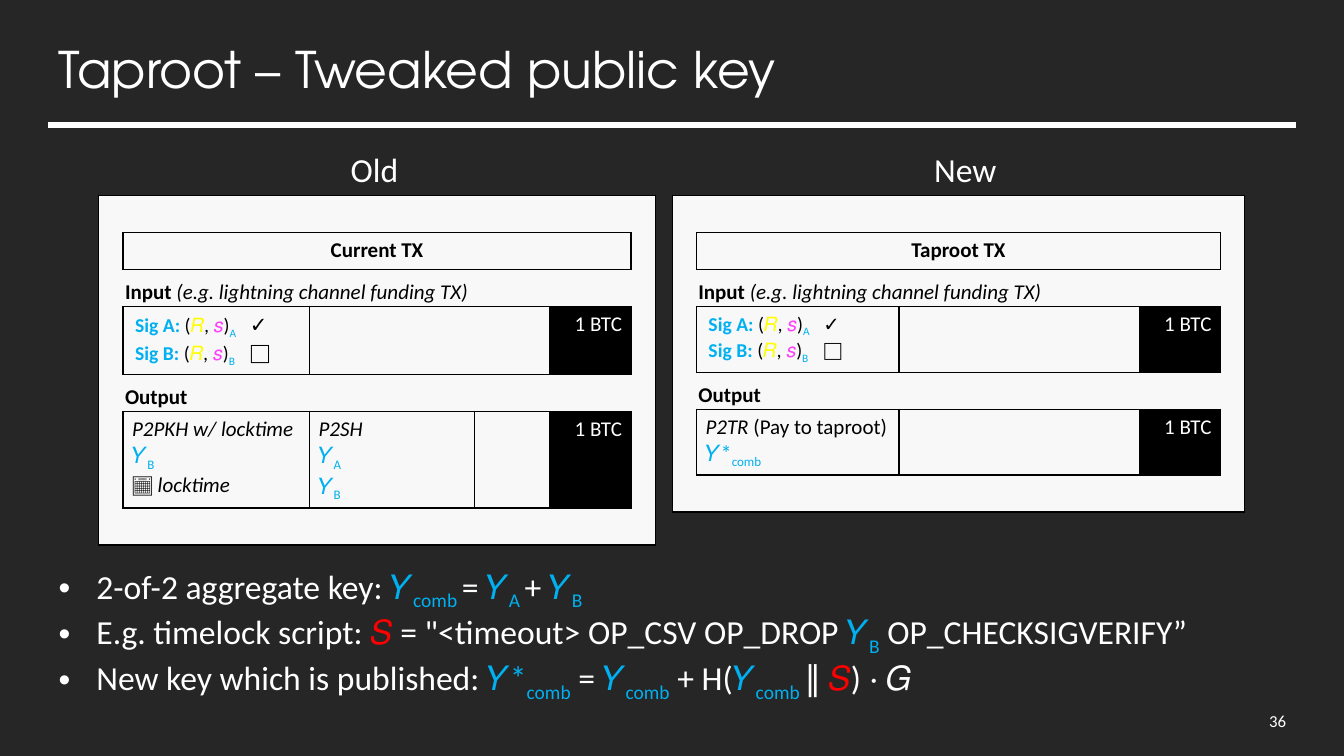
from collections import defaultdict
from dataclasses import dataclass
from typing import NamedTuple

from lxml.etree import SubElement
from pptx import Presentation
from pptx.dml.color import RGBColor
from pptx.enum.shapes import MSO_CONNECTOR
from pptx.enum.text import MSO_ANCHOR, MSO_AUTO_SIZE, PP_ALIGN
from pptx.oxml import parse_xml
from pptx.oxml.ns import nsdecls, qn
from pptx.util import Pt


@dataclass(frozen=True)
class Theme:
    """Colours, fonts and type sizes of the slide."""
    background: str = "262626"
    white: str = "FFFFFF"
    black: str = "000000"
    paper: str = "F8F8F8"
    blue: str = "00B0F0"
    yellow: str = "FFFF00"
    pink: str = "FF40FF"
    red: str = "FF0000"
    heading_font: str = "TeX Gyre Adventor"
    font: str = "Calibri"
    title: int = 36
    body: int = 24
    key: int = 16
    cell: int = 15
    signature: int = 14
    number: int = 12


THEME = Theme()
NEIGHBOURS = {"L": (0, -1, "R"), "R": (0, 1, "L"), "T": (-1, 0, "B"), "B": (1, 0, "T")}
CELL_MARGINS = (6.5, 3.6)
CAPTION_MARGINS = (1.4, 0.7)
SIGNATURE_MARGINS = (8.6, 4.3)
LAST_ROW, LAST_COLUMN = 6, 5


class Span(NamedTuple):
    """A stretch of text with one look."""
    text: str
    color: str = ""
    size: float = 0
    bold: bool = False
    italic: bool = False
    lowered: bool = False


def write(para, spans, size, color, font=THEME.font):
    """Add the spans to a paragraph, with a default size and colour."""
    for span in spans:
        run = para.add_run()
        run.text = span.text
        run.font.name = font
        run.font.size = Pt(span.size or size)
        run.font.bold = span.bold
        run.font.italic = span.italic
        run.font.color.rgb = RGBColor.from_string(span.color or color)
        if span.lowered:
            run._r.get_or_add_rPr().set("baseline", "-25000")


def key(name, subscript, size=0):
    """Return the spans of a public key with its subscript."""
    return [Span(name, THEME.blue, size), Span(subscript, THEME.blue, size, lowered=True)]


def signature(party, mark, mark_size):
    """Return the spans of one signature line."""
    return [Span(f"Sig {party}: ", THEME.blue, bold=True), Span("("), Span("𝑅", THEME.yellow),
            Span(", ", italic=True), Span("𝑠", THEME.pink), Span(")"),
            Span(party, THEME.blue, lowered=True), Span("\t"),
            Span(mark, size=mark_size, bold=True)]


def add_label(slide, text, left, top, width, height, size, align=PP_ALIGN.LEFT):
    """Add a one-line white text box."""
    box = slide.shapes.add_textbox(Pt(left), Pt(top), Pt(width), Pt(height))
    box.text_frame.word_wrap = False
    box.text_frame.vertical_anchor = MSO_ANCHOR.MIDDLE
    para = box.text_frame.paragraphs[0]
    para.alignment = align
    write(para, [Span(text)], size, THEME.white)


def add_title(slide, text):
    """Fill the title placeholder and draw the rule below it."""
    title = slide.shapes.title
    title.left, title.top, title.width, title.height = Pt(34.6), Pt(28.8), Pt(890.6), Pt(50.4)
    frame = title.text_frame
    frame.auto_size = MSO_AUTO_SIZE.NONE
    frame.vertical_anchor = MSO_ANCHOR.TOP
    para = frame.paragraphs[0]
    para.alignment = PP_ALIGN.LEFT
    para.line_spacing = 0.9
    write(para, [Span(text)], THEME.title, THEME.white, THEME.heading_font)
    rule = slide.shapes.add_connector(MSO_CONNECTOR.STRAIGHT, Pt(34.6), Pt(89.3), Pt(925.9), Pt(89.3))
    rule.line.color.rgb = RGBColor.from_string(THEME.white)
    rule.line.width = Pt(4.5)
    SubElement(rule._element.spPr, qn("a:effectLst"))


def add_bullets(slide, items):
    """Fill the body placeholder with a bulleted list."""
    body = slide.placeholders[1]
    body.left, body.top, body.width, body.height = Pt(34.6), Pt(400.3), Pt(823.7), Pt(94.3)
    frame = body.text_frame
    frame.word_wrap = False
    frame.auto_size = MSO_AUTO_SIZE.SHAPE_TO_FIT_TEXT
    frame.vertical_anchor = MSO_ANCHOR.TOP
    for index, spans in enumerate(items):
        para = frame.add_paragraph() if index else frame.paragraphs[0]
        properties = para._p.get_or_add_pPr()
        properties.set("marL", str(Pt(27)))
        properties.set("indent", str(Pt(-27)))
        SubElement(properties, qn("a:buChar")).set("char", "•")
        para.space_before = Pt(0)
        write(para, spans, THEME.body, THEME.white)


def fill_cell(cell, lines, margins=CELL_MARGINS, size=THEME.cell, color=THEME.black,
              align=PP_ALIGN.LEFT, anchor=MSO_ANCHOR.TOP, tab=0):
    """Write lines of spans into a table cell."""
    cell.margin_left = cell.margin_right = Pt(margins[0])
    cell.margin_top = cell.margin_bottom = Pt(margins[1])
    cell.vertical_anchor = anchor
    for index, spans in enumerate(lines):
        para = cell.text_frame.add_paragraph() if index else cell.text_frame.paragraphs[0]
        para.alignment = align
        if tab:
            stops = SubElement(para._p.get_or_add_pPr(), qn("a:tabLst"))
            SubElement(stops, qn("a:tab"), pos=str(Pt(tab)), algn="l")
        write(para, spans, size, color)


def draw_borders(table, ranges):
    """Outline each range of cells, given as top, left, bottom and right."""
    sides = defaultdict(set)
    for top, left, bottom, right in ranges:
        for row in range(top, bottom + 1):
            for column in range(left, right + 1):
                edges = {"L": column == left, "R": column == right, "T": row == top, "B": row == bottom}
                for side in (name for name, outer in edges.items() if outer):
                    down, across, opposite = NEIGHBOURS[side]
                    sides[row, column].add(side)
                    sides[row + down, column + across].add(opposite)
    for row in range(LAST_ROW + 1):
        for column in range(LAST_COLUMN + 1):
            properties = table.cell(row, column)._tc.get_or_add_tcPr()
            for position, side in enumerate(name for name in "LRTB" if name in sides[row, column]):
                properties.insert(position, parse_xml(
                    f'<a:ln{side} {nsdecls("a")} w="{Pt(1)}"><a:solidFill>'
                    f'<a:srgbClr val="{THEME.black}"/></a:solidFill></a:ln{side}>'))


def add_transaction(slide, left, first_width, heights, heading, mark_size, outputs):
    """Add the table of one transaction with its input and outputs."""
    widths = (17.3, first_width, 118.1, 53.3, 58.3, 17.3)
    frame = slide.shapes.add_table(LAST_ROW + 1, LAST_COLUMN + 1, Pt(left), Pt(139.7),
                                   Pt(sum(widths)), Pt(sum(heights)))
    table = frame.table
    table.first_row = table.horz_banding = False
    table._tbl.tblPr.find(qn("a:tableStyleId")).text = "{2D5ABB26-0587-4C30-8999-92F81FD0307C}"
    for column, width in zip(table.columns, widths):
        column.width = Pt(width)
    for row, height in zip(table.rows, heights):
        row.height = Pt(height)
    for cell in table.iter_cells():
        cell.fill.solid()
        cell.fill.fore_color.rgb = RGBColor.from_string(THEME.paper)
        cell.margin_top = cell.margin_bottom = 0
    for row, last in ((1, 4), (2, 4), (4, 4), (6, 3)):
        table.cell(row, 1).merge(table.cell(row, last))
    fill_cell(table.cell(1, 1), [[Span(heading, bold=True)]], align=PP_ALIGN.CENTER)
    captions = {2: [Span("Input ", bold=True), Span("(e.g. lightning channel funding TX)", italic=True)],
                4: [Span("Output", bold=True)]}
    for row, spans in captions.items():
        fill_cell(table.cell(row, 1), [spans], CAPTION_MARGINS, anchor=MSO_ANCHOR.BOTTOM)
    fill_cell(table.cell(3, 1), [signature("A", "✓", mark_size), signature("B", "⬜", mark_size)],
              SIGNATURE_MARGINS, THEME.signature, tab=82)
    for column, lines in enumerate(outputs, start=1):
        fill_cell(table.cell(5, column), lines)
    for row in (3, 5):
        amount = table.cell(row, 4)
        amount.fill.fore_color.rgb = RGBColor.from_string(THEME.black)
        fill_cell(amount, [[Span("1 BTC")]], color=THEME.white, align=PP_ALIGN.RIGHT)
    output_boxes = [(5, column, 5, column) for column in range(1, len(outputs))]
    draw_borders(table, [(0, 0, LAST_ROW, LAST_COLUMN), (1, 1, 1, 4), (3, 1, 3, 4), (5, 1, 5, 4),
                         *output_boxes])


def main():
    """Build the slide and save the deck."""
    deck = Presentation()
    deck.slide_width, deck.slide_height = Pt(960), Pt(540)
    slide = deck.slides.add_slide(deck.slide_layouts[1])
    slide.background.fill.solid()
    slide.background.fill.fore_color.rgb = RGBColor.from_string(THEME.background)
    add_title(slide, "Taproot – Tweaked public key")
    add_label(slide, "36", 848.9, 500.4, 77, 28.8, THEME.number, PP_ALIGN.RIGHT)
    add_label(slide, "Old", 243.4, 103, 49, 36, THEME.body)
    add_label(slide, "New", 660.2, 103, 59.8, 36, THEME.body)
    locktime = [[Span("P2PKH w/ locktime", italic=True)], key("𝑌", "B", THEME.key),
                [Span("📅 ", bold=True), Span("locktime", italic=True)]]
    script_hash = [[Span("P2SH", italic=True)], key("𝑌", "A", THEME.key), key("𝑌", "B", THEME.key)]
    taproot = [[Span("P2TR ", italic=True), Span("(Pay to taproot)")], key("𝑌*", "comb", THEME.key)]
    add_transaction(slide, 70.6, 133.2, (26.4, 26.4, 26.4, 48.8, 26.4, 68.6, 26.4),
                    "Current TX", THEME.cell, [locktime, script_hash])
    add_transaction(slide, 480.2, 144.7, (26.4, 26.4, 26.4, 47, 26.4, 47, 26.4),
                    "Taproot TX", THEME.signature, [taproot])
    add_bullets(slide, [
        [Span("2-of-2 aggregate key:"), *key(" 𝑌", "comb "), Span("= "), *key("𝑌", "A "),
         Span("+ "), *key("𝑌", "B")],
        [Span("E.g. timelock script: "), Span("𝑆", THEME.red), Span(" = \"<timeout> OP_CSV OP_DROP "),
         *key("𝑌", "B"), Span(" OP_CHECKSIGVERIFY”")],
        [Span("New key which is published: "), *key("𝑌*", "comb"), Span(" = "), *key("𝑌", "comb"),
         Span(" + H("), *key("𝑌", "comb "), Span("∥"), Span(" 𝑆", THEME.red), Span(") ⋅ 𝐺")]])
    deck.save("out.pptx")


if __name__ == "__main__":
    main()
